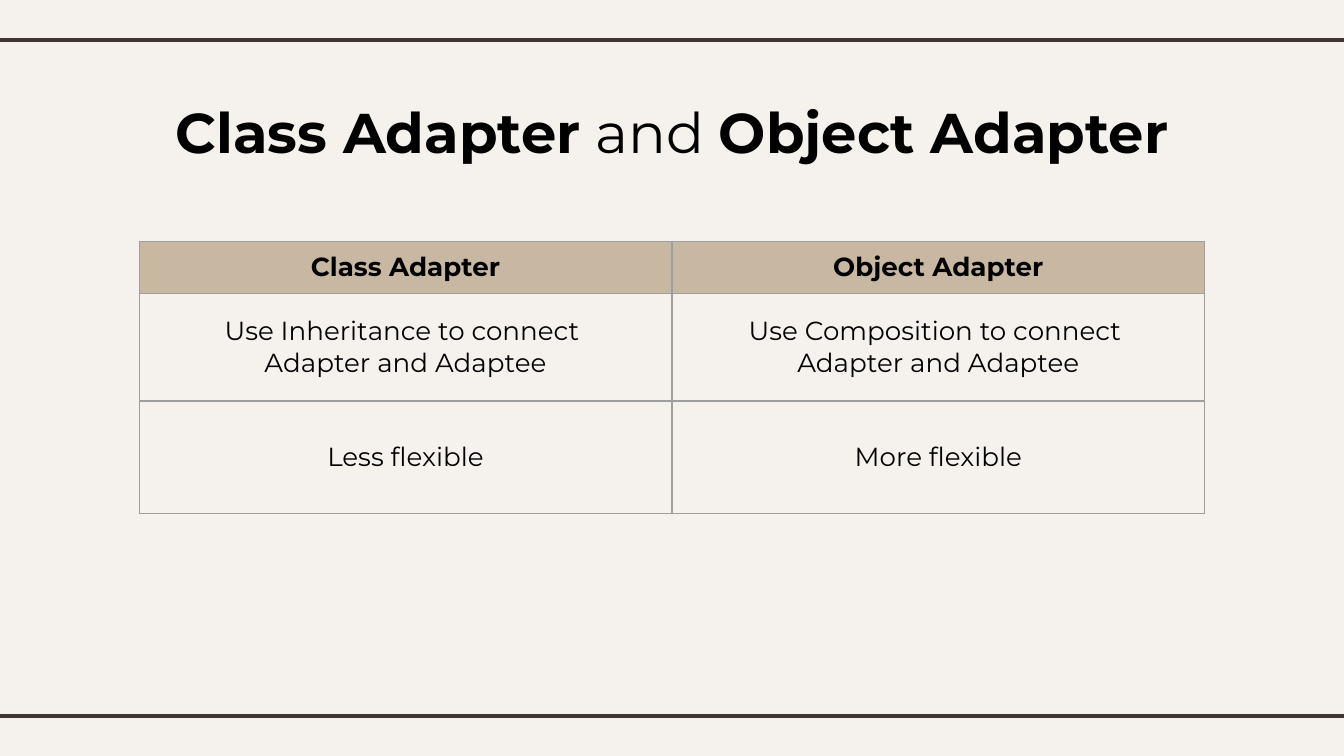
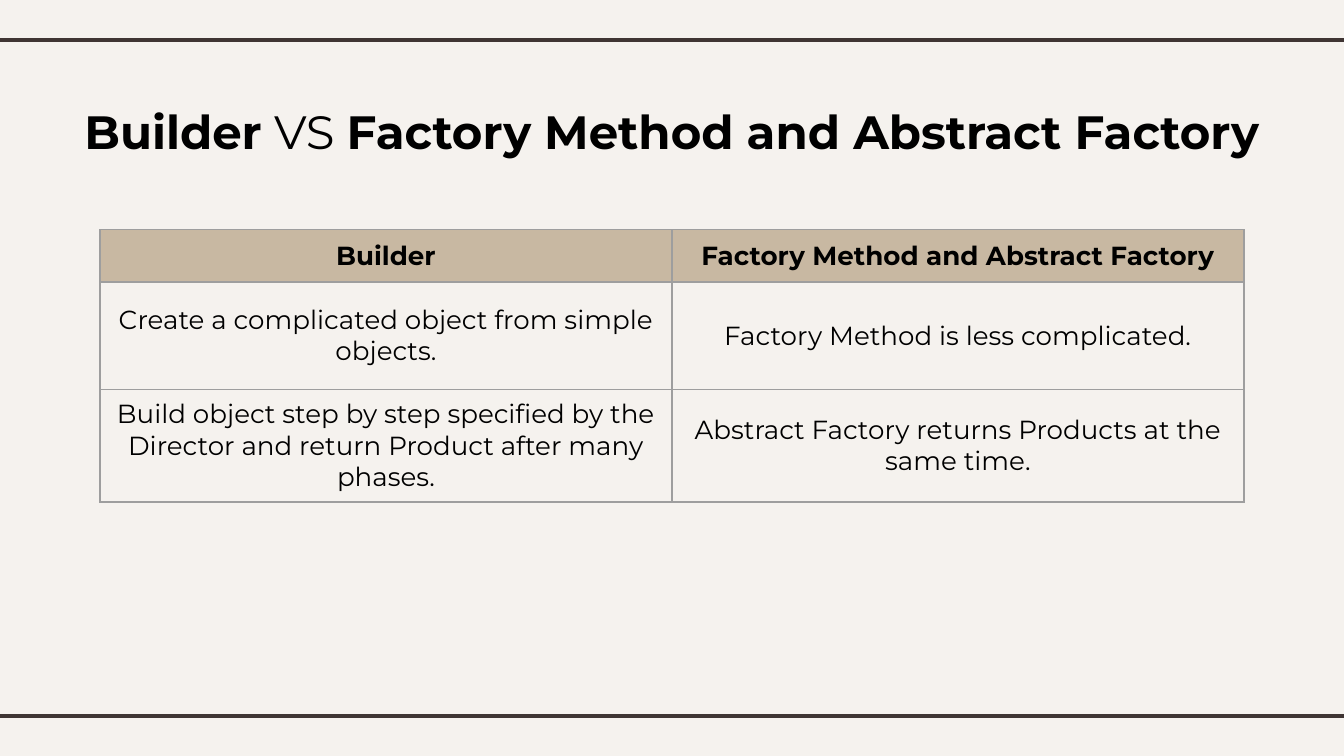
from copy import deepcopy

from lxml.etree import SubElement
from pptx import Presentation
from pptx.dml.color import RGBColor
from pptx.enum.shapes import MSO_CONNECTOR
from pptx.enum.text import MSO_ANCHOR, PP_ALIGN
from pptx.oxml.ns import qn
from pptx.util import Cm, Pt

FONT = "Montserrat"
BLACK = "000000"
CREAM = "F5F2EE"
BROWN = "3F3533"
TAN = "C8B8A2"
GREY = "9E9E9E"
RULE_HEIGHTS = (0.76, 13.54)
ROW_HEIGHTS = (0.99, 2.03, 2.13)

SLIDES = [
    {
        "title": [("Class Adapter", True), (" and ", False), ("Object Adapter", True)],
        "title_size": 30,
        "table_top": 4.56,
        "column_width": 10.07,
        "rows": [
            ("Class Adapter", "Object Adapter"),
            (
                "Use Inheritance to connect \nAdapter and Adaptee",
                "Use Composition to connect \nAdapter and Adaptee",
            ),
            ("Less flexible", "More flexible"),
        ],
    },
    {
        "title": [
            ("Builder", True),
            (" VS ", False),
            ("Factory Method and Abstract Factory", True),
        ],
        "title_size": 25,
        "table_top": 4.34,
        "column_width": 10.81,
        "rows": [
            ("Builder", "Factory Method and Abstract Factory"),
            (
                "Create a complicated object from simple objects.",
                "Factory Method is less complicated.",
            ),
            (
                "Build object step by step specified by the Director "
                "and return Product after many phases.",
                "Abstract Factory returns Products at the same time.",
            ),
        ],
    },
]


def set_color(color_format, value):
    color_format.rgb = RGBColor.from_string(value)


def set_fill(fill, value):
    fill.solid()
    set_color(fill.fore_color, value)


def set_attributes(target, values):
    for name, value in values.items():
        setattr(target, name, value)


def add_run(paragraph, text, size, bold):
    run = paragraph.add_run()
    run.text = text
    set_attributes(run.font, {"name": FONT, "size": Pt(size), "bold": bold})
    set_color(run.font.color, BLACK)
    return run


def write_centered(paragraph, parts, size):
    paragraph.alignment = PP_ALIGN.CENTER
    for text, bold in parts:
        first, *others = text.split("\n")
        run = add_run(paragraph, first, size, bold)
        for line in others:
            paragraph.add_line_break()
            paragraph._p[-1].append(deepcopy(run._r.rPr))
            run = add_run(paragraph, line, size, bold)


def add_rule(slide, top):
    rule = slide.shapes.add_connector(
        MSO_CONNECTOR.STRAIGHT, Cm(-0.2), Cm(top), Cm(25.6), Cm(top)
    )
    set_color(rule.line.color, BROWN)
    rule.line.width = Pt(2.25)
    SubElement(rule._element.spPr, qn("a:effectLst"))


def add_title(slide, parts, size):
    box = slide.shapes.add_textbox(Cm(0.74), Cm(1.68), Cm(23.92), Cm(1.6))
    frame = box.text_frame
    margins = ("margin_left", "margin_right", "margin_top", "margin_bottom")
    set_attributes(frame, dict.fromkeys(margins, Cm(0.25)))
    set_attributes(frame, {"word_wrap": True, "vertical_anchor": MSO_ANCHOR.MIDDLE})
    write_centered(frame.paragraphs[0], parts, size)


def add_borders(cell):
    properties = cell._tc.get_or_add_tcPr()
    for position, side in enumerate(("lnL", "lnR", "lnT", "lnB")):
        border = properties.makeelement(qn(f"a:{side}"), {"w": str(Pt(0.75))})
        fill = SubElement(border, qn("a:solidFill"))
        SubElement(fill, qn("a:srgbClr"), {"val": GREY})
        properties.insert(position, border)


def add_comparison(slide, rows, top, column_width, slide_width):
    columns = len(rows[0])
    width = Cm(column_width * columns)
    left = (slide_width - width) // 2
    table = slide.shapes.add_table(
        len(rows), columns, left, Cm(top), width, Cm(sum(ROW_HEIGHTS))
    ).table
    set_attributes(table, {"first_row": False, "horz_banding": False})
    for column in table.columns:
        column.width = Cm(column_width)
    for index, texts in enumerate(rows):
        table.rows[index].height = Cm(ROW_HEIGHTS[index])
        header = index == 0
        for cell, text in zip(table.rows[index].cells, texts):
            cell.vertical_anchor = MSO_ANCHOR.MIDDLE
            if header:
                set_fill(cell.fill, TAN)
            else:
                cell.fill.background()
            add_borders(cell)
            write_centered(cell.text_frame.paragraphs[0], [(text, header)], 14)


def add_base_slide(presentation):
    slide = presentation.slides.add_slide(presentation.slide_layouts[6])
    set_fill(slide.background.fill, CREAM)
    for top in RULE_HEIGHTS:
        add_rule(slide, top)
    return slide


def main():
    presentation = Presentation()
    set_attributes(
        presentation, {"slide_width": Cm(25.4), "slide_height": Cm(14.29)}
    )
    for content in SLIDES:
        slide = add_base_slide(presentation)
        add_title(slide, content["title"], content["title_size"])
        add_comparison(
            slide,
            content["rows"],
            content["table_top"],
            content["column_width"],
            presentation.slide_width,
        )
    presentation.save("out.pptx")


if __name__ == "__main__":
    main()
